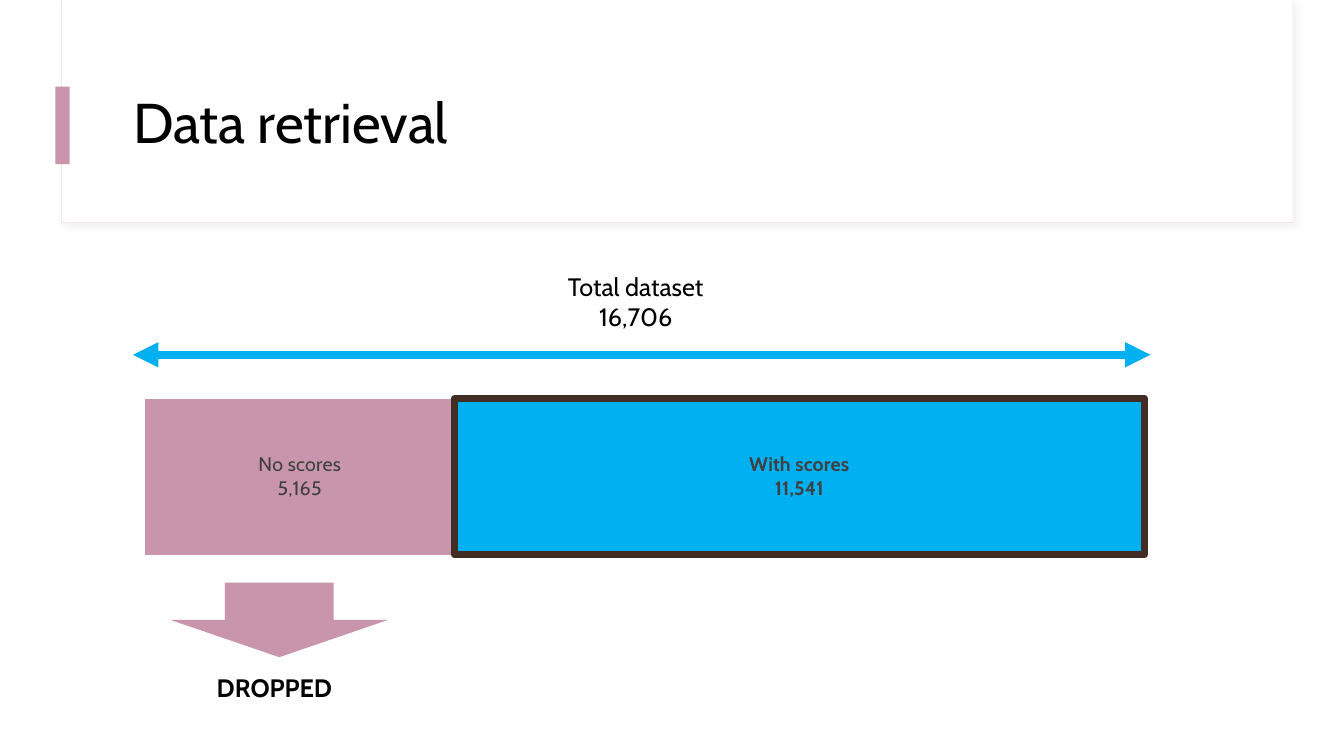
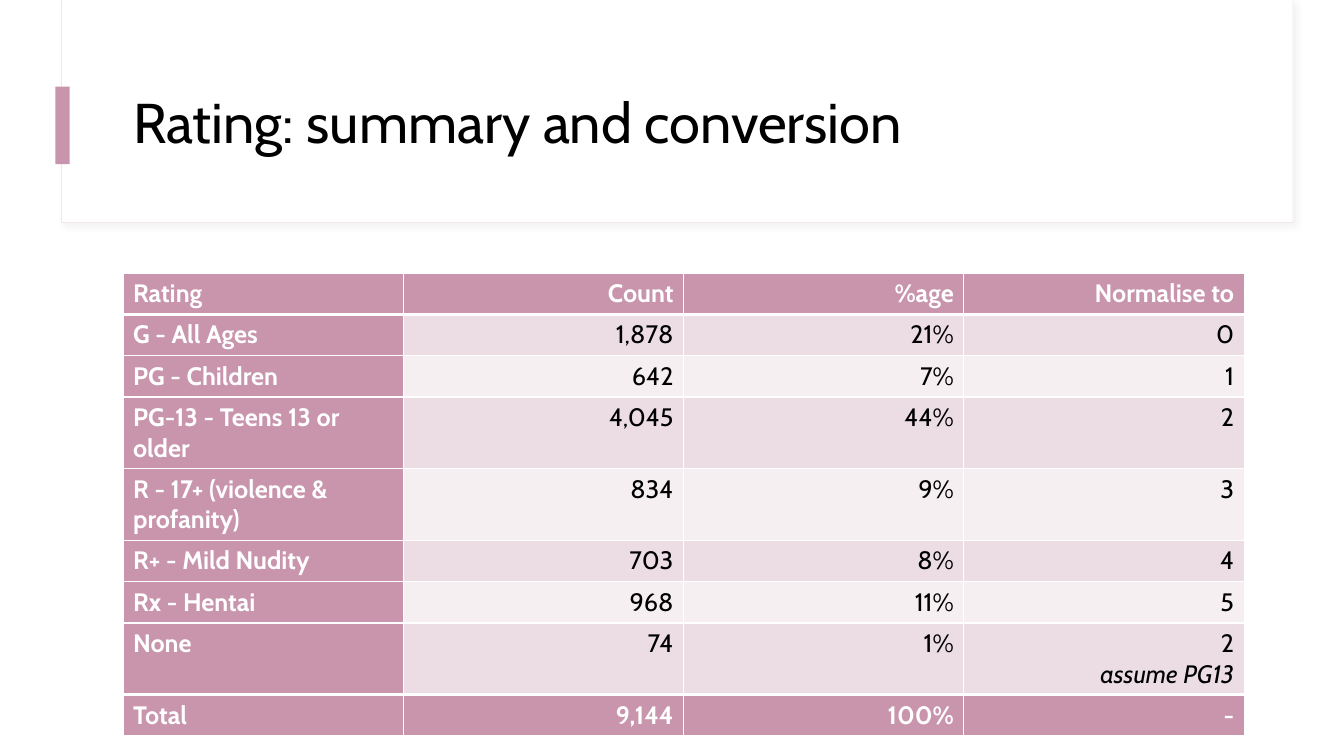
from lxml import etree
from pptx import Presentation
from pptx.chart.data import CategoryChartData
from pptx.dml.color import RGBColor
from pptx.enum.chart import XL_CHART_TYPE
from pptx.enum.shapes import MSO_CONNECTOR, MSO_SHAPE
from pptx.enum.text import MSO_ANCHOR, MSO_AUTO_SIZE, PP_ALIGN
from pptx.oxml import parse_xml
from pptx.oxml.ns import nsdecls, qn
from pptx.util import Pt

RECT, DOWN = MSO_SHAPE.RECTANGLE, MSO_SHAPE.DOWN_ARROW
LEFT, MID, RIGHT = PP_ALIGN.LEFT, PP_ALIGN.CENTER, PP_ALIGN.RIGHT
STACKED = XL_CHART_TYPE.BAR_STACKED
STRAIGHT = MSO_CONNECTOR.STRAIGHT
MIDDLE = MSO_ANCHOR.MIDDLE
NO_FIT = MSO_AUTO_SIZE.NONE

SCALE = 9144
FONT = "Cabin"
HUES = {
    "white": "FFFFFF", "black": "000000", "rose": "C895AC",
    "frame": "F0E8E5", "shade": "D9D9D9", "blue": "00B0F0",
    "green": "8AAF75", "brown": "412D24", "label": "404040",
    "dark": "EBDDE3", "pale": "F5EFF1",
}


def px(*sizes):
    return [size * SCALE for size in sizes]


def hue(name):
    return RGBColor.from_string(HUES[name])


def style(font, size=18, color="black", bold=False, italic=False):
    font.name, font.size = FONT, Pt(size)
    font.bold, font.italic = bold, italic
    font.color.rgb = hue(color)


def write(frame, text, align=LEFT, space=None, note=False, **look):
    for row, line in enumerate(text.split("\n")):
        para = frame.add_paragraph() if row else frame.paragraphs[0]
        para.alignment = align
        para.line_spacing = space
        run = para.add_run()
        run.text = line
        style(run.font, italic=note and row > 0, **look)


class Deck:
    def __init__(self):
        self.file = Presentation()
        self.file.slide_width, self.file.slide_height = px(1333, 750)
        self.slide = None

    def start(self, title):
        self.slide = self.file.slides.add_slide(self.file.slide_layouts[5])
        panel = self.shape(RECT, (61, 0, 1221, 221), "white", "frame", 0.75)
        self.shadow(panel)
        self.shape(RECT, (62, 0, 1220, 220), "white")
        self.shape(RECT, (55, 86, 14, 77), "rose")
        head = self.slide.shapes.title
        head.left, head.top, head.width, head.height = px(122, 60, 1112, 129)
        head.element.getparent().append(head.element)
        frame = head.text_frame
        frame.word_wrap = True
        frame.auto_size = NO_FIT
        frame.vertical_anchor = MIDDLE
        write(frame, title, size=40, space=0.9)

    def shadow(self, shape):
        props = shape.element.spPr
        for old in props.findall(qn("a:effectLst")):
            props.remove(old)
        props.append(parse_xml(
            f'<a:effectLst {nsdecls("a")}><a:outerShdw blurRad="50800" '
            'dist="38100" dir="2700000" algn="tl" rotWithShape="0">'
            f'<a:srgbClr val="{HUES["shade"]}"><a:alpha val="30000"/>'
            '</a:srgbClr></a:outerShdw></a:effectLst>'))

    def shape(self, kind, box, fill, line=None, width=1):
        shape = self.slide.shapes.add_shape(kind, *px(*box))
        shape.shadow.inherit = False
        shape.fill.solid()
        shape.fill.fore_color.rgb = hue(fill)
        if line:
            shape.line.color.rgb = hue(line)
            shape.line.width = Pt(width)
        else:
            shape.line.fill.background()
        return shape

    def text(self, box, text, wrap=True, **look):
        frame = self.slide.shapes.add_textbox(*px(*box)).text_frame
        frame.word_wrap = wrap
        write(frame, text, **look)

    def arrow(self, start, end, color, width):
        link = self.slide.shapes.add_connector(STRAIGHT, *px(*start, *end))
        link.line.color.rgb = hue(color)
        link.line.width = Pt(width)
        props = link.element.spPr
        for tip in ("a:headEnd", "a:tailEnd"):
            etree.SubElement(props.find(qn("a:ln")), qn(tip), type="triangle")
        etree.SubElement(props, qn("a:effectLst"))

    def chart(self, box, parts, top):
        data = CategoryChartData()
        data.categories = ["1"]
        for name, value, *_ in parts:
            data.add_series(name, [value])
        chart = self.slide.shapes.add_chart(STACKED, *px(*box), data).chart
        chart.has_legend = chart.has_title = False
        style(chart.font, size=10)
        for axis in (chart.category_axis, chart.value_axis):
            axis.has_major_gridlines = False
            axis.visible = False
        chart.value_axis.minimum_scale = 0
        chart.value_axis.maximum_scale = top
        plot = chart.plots[0]
        plot.gap_width, plot.overlap = 150, 100
        plot.vary_by_categories = False
        for series, (_, value, color, edge) in zip(plot.series, parts):
            series.format.fill.solid()
            series.format.fill.fore_color.rgb = hue(color)
            if edge:
                line = series.format.line
                line.color.rgb = hue(edge)
                line.width = Pt(5)
            if value:
                self.label(series.data_labels, bool(edge))

    def label(self, labels, bold):
        labels.show_value = labels.show_series_name = True
        labels.number_format = "#,###"
        labels.number_format_is_linked = False
        style(labels.font, size=14, color="label", bold=bold)
        mark = etree.Element(qn("c:separator"))
        mark.text = "\n"
        labels._element.find(qn("c:showBubbleSize")).addnext(mark)

    def table(self, box, rows, height):
        last, count = len(rows) - 1, len(rows[0])
        grid = self.slide.shapes.add_table(len(rows), count, *px(*box)).table
        grid.horz_banding = False
        for col in grid.columns:
            col.width = px(box[2] // count)[0]
        for r, row in enumerate(rows):
            grid.rows[r].height = px(height)[0]
            for c, text in enumerate(row):
                strong = r in (0, last) or c == 0
                fill = "rose" if strong else "dark" if r % 2 else "pale"
                cell = grid.cell(r, c)
                write(cell.text_frame, text, align=RIGHT if c else LEFT,
                      color="white" if strong else "black",
                      bold=strong, note=True)
                self.border(cell, L=1, R=1, T=3 if r in (1, last) else 1,
                            B=3 if r in (0, last - 1) else 1)
                cell.fill.solid()
                cell.fill.fore_color.rgb = hue(fill)

    def border(self, cell, **sides):
        props = cell._tc.get_or_add_tcPr()
        for side, width in sides.items():
            line = etree.SubElement(props, qn(f"a:ln{side}"), w=str(Pt(width)))
            fill = etree.SubElement(line, qn("a:solidFill"))
            etree.SubElement(fill, qn("a:srgbClr"), val=HUES["white"])


def main():
    deck = Deck()

    deck.start("Data retrieval")
    deck.chart((122, 271, 1112, 404), [
        ("No scores", 5165, "rose", None),
        ("Series 2", 0, "green", None),
        ("With scores", 11541, "blue", "brown"),
    ], 18000)
    deck.arrow((132, 352), (1141, 352), "blue", 6)
    deck.text((543, 264, 175, 71), "Total dataset\n16,706", align=MID)
    deck.shape(DOWN, (169, 578, 216, 74), "rose")
    deck.text((205, 662, 145, 40), "DROPPED", wrap=False, bold=True)

    deck.start("Rating: summary and conversion")
    deck.table((122, 271, 1112, 369), [
        ("Rating", "Count", "%age", "Normalise to"),
        ("G - All Ages", "1,878", "21%", "0"),
        ("PG - Children", "642", "7%", "1"),
        ("PG-13 - Teens 13 or older", "4,045", "44%", "2"),
        ("R - 17+ (violence & profanity)", "834", "9%", "3"),
        ("R+ - Mild Nudity", "703", "8%", "4"),
        ("Rx - Hentai", "968", "11%", "5"),
        ("None", "74", "1%", "2\nassume PG13"),
        ("Total", "9,144", "100%", "-"),
    ], 41)

    deck.file.save("out.pptx")


if __name__ == "__main__":
    main()
